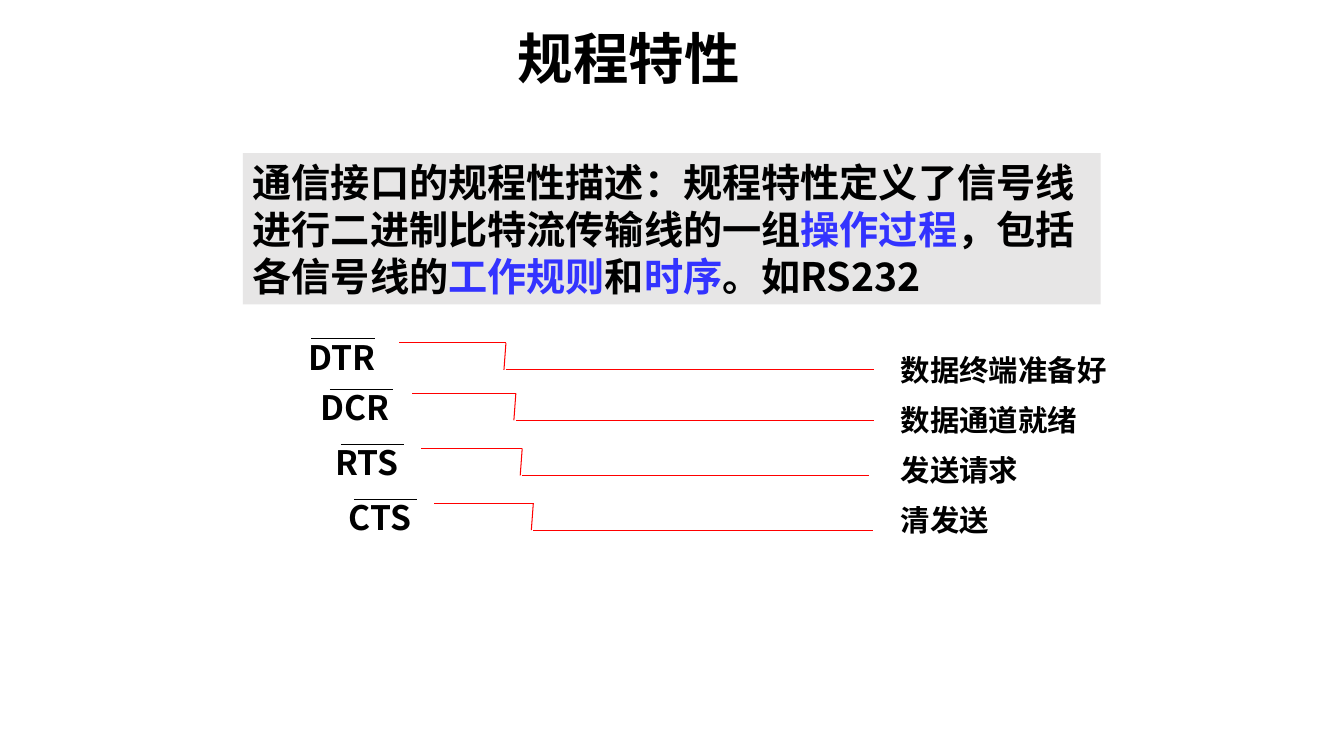
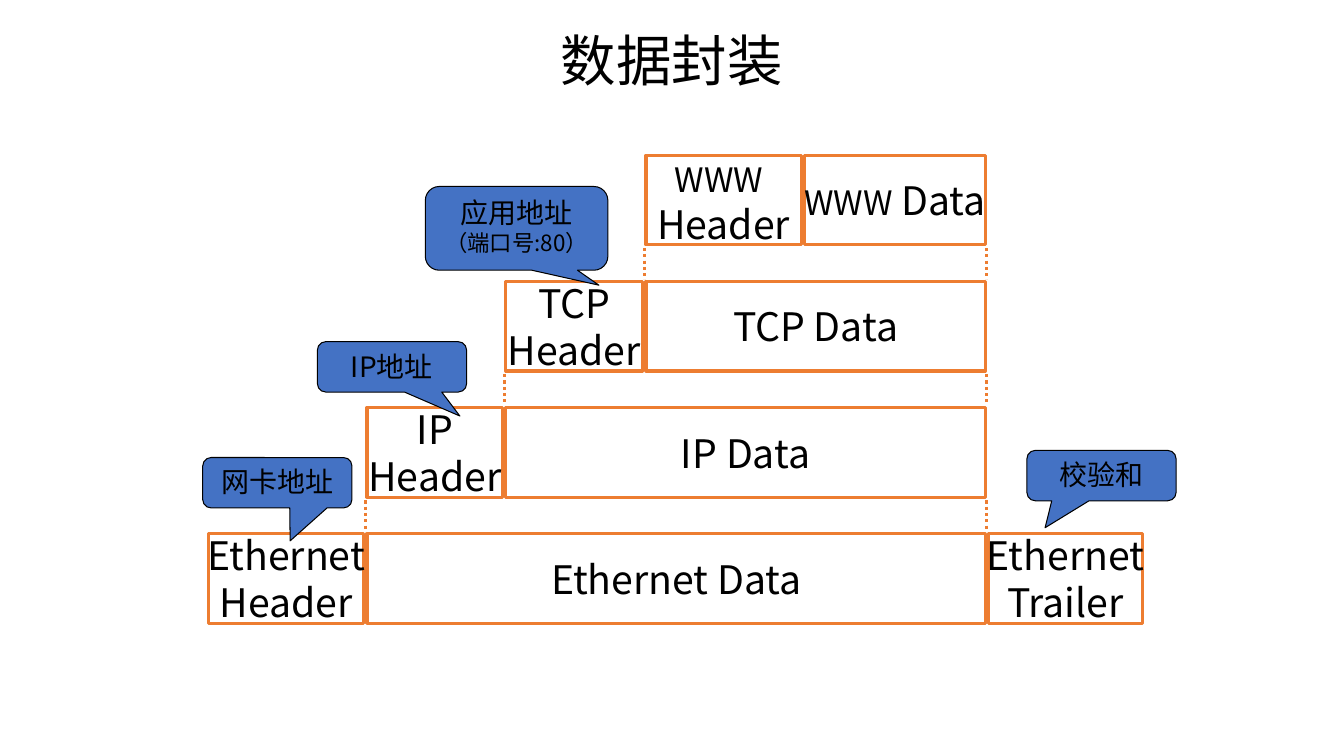
"""Build two slides on signal procedures and data encapsulation."""
from typing import NamedTuple

from lxml.etree import SubElement
from pptx import Presentation
from pptx.dml.color import RGBColor
from pptx.enum.dml import MSO_LINE
from pptx.enum.shapes import MSO_CONNECTOR, MSO_SHAPE
from pptx.enum.text import MSO_ANCHOR, PP_ALIGN
from pptx.oxml.ns import qn
from pptx.util import Cm, Pt

BLACK = RGBColor(0x00, 0x00, 0x00)
GRAY = RGBColor(0xE7, 0xE6, 0xE6)
VIOLET = RGBColor(0x33, 0x33, 0xFF)
RED = RGBColor(0xFF, 0x00, 0x00)
ORANGE = RGBColor(0xED, 0x7D, 0x31)
BLUE = RGBColor(0x44, 0x72, 0xC4)

BODY_FONT = "Noto Sans CJK SC"
TITLE_FONT = "Calibri"

ROW_TOP, ROW_PITCH, ROW_HEIGHT = 3.91, 3.18, 2.26
GAP = 0.08
LEFTS = [20.27, 16.28, 12.75, 9.25, 5.26]
DATA_RIGHT = 24.83
TRAILER_WIDTH = 3.89


class Signal(NamedTuple):
    name: str
    left: float
    width: float
    top: float
    bar_left: float
    wave_left: float
    drop: float
    wave_right: float


SIGNALS = [
    Signal("DTR", 6.25, 4.72, 8.36, 7.85, 10.06, 12.75, 22.02),
    Signal("DCR", 6.65, 4.6, 9.63, 8.31, 10.39, 13, 22.02),
    Signal("RTS", 7.01, 4.47, 11.02, 8.59, 10.62, 13.16, 21.89),
    Signal("CTS", 7.39, 4.37, 12.4, 8.92, 10.95, 13.44, 22),
]
MEANINGS = ["数据终端准备好", "数据通道就绪", "发送请求", "清发送"]

LAYERS = [
    ([("WWW", 24), (" \nHeader", 28)], [("WWW", 24), (" Data", 28)]),
    ([("TCP\nHeader", 28)], [("TCP Data", 28)]),
    ([("IP\nHeader", 28)], [("IP Data", 28)]),
    ([("Ethernet\nHeader", 28)], [("Ethernet Data", 28)]),
]

CALLOUTS = [
    ((5.11, 11.53, 3.76, 1.27), (0.086, 1.153), [[("网卡地址", 20)]]),
    ((8, 8.61, 3.76, 1.27), (0.455, 0.976), [[("IP地址", 20)]]),
    ((10.72, 4.7, 4.6, 2.11), (0.451, 0.679),
     [[("应用地址", 20)], [("（端口号:80）", 16)]]),
    ((25.88, 11.35, 3.76, 1.27), (-0.378, 1.035), [[("校验和", 20)]]),
]


def add_run(p, text, size, color=BLACK, bold=False, font=BODY_FONT):
    """Add text to a paragraph, turning each newline into a line break."""
    for i, part in enumerate(text.split("\n")):
        if i:
            p.add_line_break()
        r = p.add_run()
        r.text = part
        r.font.size = Pt(size)
        r.font.bold = bold
        r.font.color.rgb = color
        r.font.name = font
        SubElement(r.font._element, qn("a:ea")).set("typeface", BODY_FONT)


def fill_text(sp, paragraphs, align=PP_ALIGN.LEFT, anchor=MSO_ANCHOR.TOP,
              wrap=True, before=0, **style):
    """Write paragraphs, each a list of runs, and return the text frame."""
    tf = sp.text_frame
    tf.word_wrap = wrap
    tf.vertical_anchor = anchor
    for i, runs in enumerate(paragraphs):
        p = tf.add_paragraph() if i else tf.paragraphs[0]
        p.alignment = align
        if i and before:
            p.space_before = Pt(before)
        for run in runs:
            add_run(p, *run, **style)
    return tf


def add_text(shapes, box, paragraphs, **options):
    """Add a text box and return its text frame."""
    sp = shapes.add_textbox(*map(Cm, box))
    return fill_text(sp, paragraphs, **options)


def add_box(shapes, kind, box, fill=None, line=None, width=0.75):
    """Add a preset shape with an optional fill and outline."""
    sp = shapes.add_shape(kind, *map(Cm, box))
    sp.shadow.inherit = False
    if fill is None:
        sp.fill.background()
    else:
        sp.fill.solid()
        sp.fill.fore_color.rgb = fill
    if line is None:
        sp.line.fill.background()
    else:
        sp.line.color.rgb = line
        sp.line.width = Pt(width)
    return sp


def add_line(shapes, x1, y1, x2, y2, color, width=0.75, dash=None):
    """Add a straight line without a shadow."""
    line = shapes.add_connector(MSO_CONNECTOR.STRAIGHT,
                                *map(Cm, (x1, y1, x2, y2)))
    line.line.color.rgb = color
    line.line.width = Pt(width)
    if dash:
        line.line.dash_style = dash
    SubElement(line._element.spPr, qn("a:effectLst"))


def add_slide(prs, title, box, bold=False):
    """Add a blank slide with a centred title."""
    s = prs.slides.add_slide(prs.slide_layouts[6])
    tf = add_text(s.shapes, box, [[(title, 39.6)]], align=PP_ALIGN.CENTER,
                  anchor=MSO_ANCHOR.MIDDLE, bold=bold, font=TITLE_FONT)
    tf.paragraphs[0].line_spacing = 0.9
    return s


def add_signal(shapes, sig):
    """Draw an overlined signal name and its falling edge."""
    add_text(shapes, (sig.left, sig.top, sig.width, 1.27), [[(sig.name, 24)]],
             align=PP_ALIGN.CENTER, bold=True)
    bar, high, low = sig.top + 0.18, sig.top + 0.28, sig.top + 0.96
    add_line(shapes, sig.bar_left, bar, sig.bar_left + 1.6, bar, BLACK)
    add_line(shapes, sig.wave_left, high, sig.drop, high, RED)
    add_line(shapes, sig.drop, high, sig.drop - 0.05, low, RED)
    add_line(shapes, sig.drop, low, sig.wave_right, low, RED)


def add_field(shapes, left, top, right, runs):
    """Draw one outlined packet field."""
    sp = add_box(shapes, MSO_SHAPE.RECTANGLE,
                 (left, top, right - left, ROW_HEIGHT), line=ORANGE, width=2.25)
    fill_text(sp, [runs], align=PP_ALIGN.CENTER, anchor=MSO_ANCHOR.MIDDLE,
              wrap=False)


def add_layer(shapes, i, header, data):
    """Draw one layer and the dotted lines up to the layer it carries."""
    top = ROW_TOP + i * ROW_PITCH
    data_left, header_left = LEFTS[i:i + 2]
    add_field(shapes, data_left, top, DATA_RIGHT, data)
    add_field(shapes, header_left, top, data_left - GAP, header)
    if i:
        for x in (data_left - GAP / 2, DATA_RIGHT + GAP / 2):
            add_line(shapes, x, top - 0.84, x, top - 0.05, ORANGE, 2.25,
                     MSO_LINE.ROUND_DOT)
    if i == len(LAYERS) - 1:
        left = DATA_RIGHT + GAP
        add_field(shapes, left, top, left + TRAILER_WIDTH,
                  [("Ethernet\nTrailer", 28)])


def add_callout(shapes, box, tip, paragraphs):
    """Draw a rounded callout whose tail ends at the tip."""
    sp = add_box(shapes, MSO_SHAPE.ROUNDED_RECTANGULAR_CALLOUT, box, BLUE, BLACK)
    sp.adjustments[0], sp.adjustments[1] = tip
    fill_text(sp, paragraphs, align=PP_ALIGN.CENTER)


def build_procedure(prs):
    """Build the slide on procedural characteristics."""
    s = add_slide(prs, "规程特性", (11.4, 0.71, 8.89, 1.68), bold=True)
    sp = add_box(s.shapes, MSO_SHAPE.RECTANGLE, (6.12, 3.86, 21.62, 3.81), GRAY)
    fill_text(sp, [[
        ("通信接口的规程性描述：规程特性定义了信号线进行二进制比特流传输线的一组", 28),
        ("操作过程", 28, VIOLET),
        ("，包括各信号线的", 28),
        ("工作规则", 28, VIOLET),
        ("和", 28),
        ("时序", 28, VIOLET),
        ("。如RS232", 28),
    ]], bold=True)
    shapes = s.shapes.add_group_shape().shapes
    for sig in SIGNALS:
        add_signal(shapes, sig)
    add_text(shapes, (22.45, 8.74, 5.79, 5.16), [[(m, 21)] for m in MEANINGS],
             before=10.5, bold=True)


def build_encapsulation(prs):
    """Build the slide on data encapsulation."""
    s = add_slide(prs, "数据封装", (12.47, 0.66, 8.92, 1.88))
    for i, (header, data) in enumerate(LAYERS):
        add_layer(s.shapes.add_group_shape().shapes, i, header, data)
    for callout in CALLOUTS:
        add_callout(s.shapes, *callout)


def main():
    """Build and save the presentation."""
    prs = Presentation()
    prs.slide_width, prs.slide_height = Cm(33.87), Cm(19.05)
    build_procedure(prs)
    build_encapsulation(prs)
    prs.save("out.pptx")


if __name__ == "__main__":
    main()
